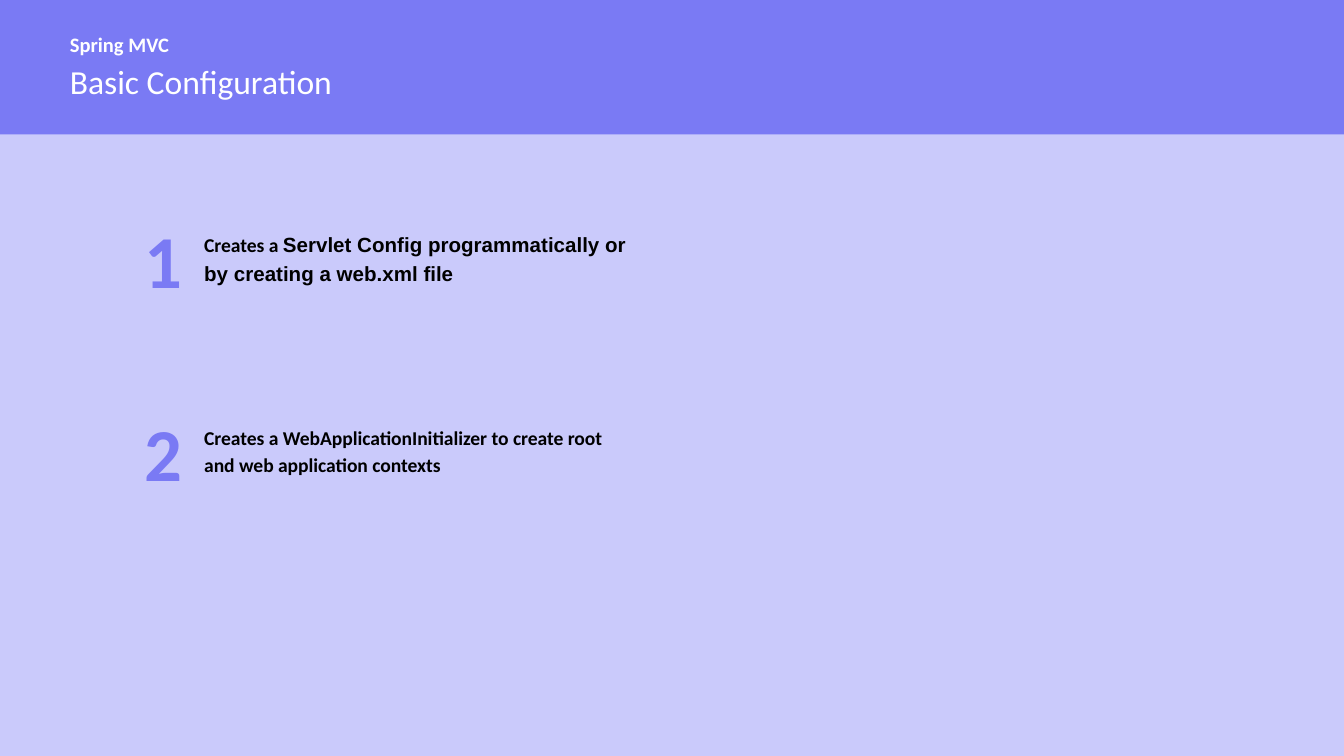
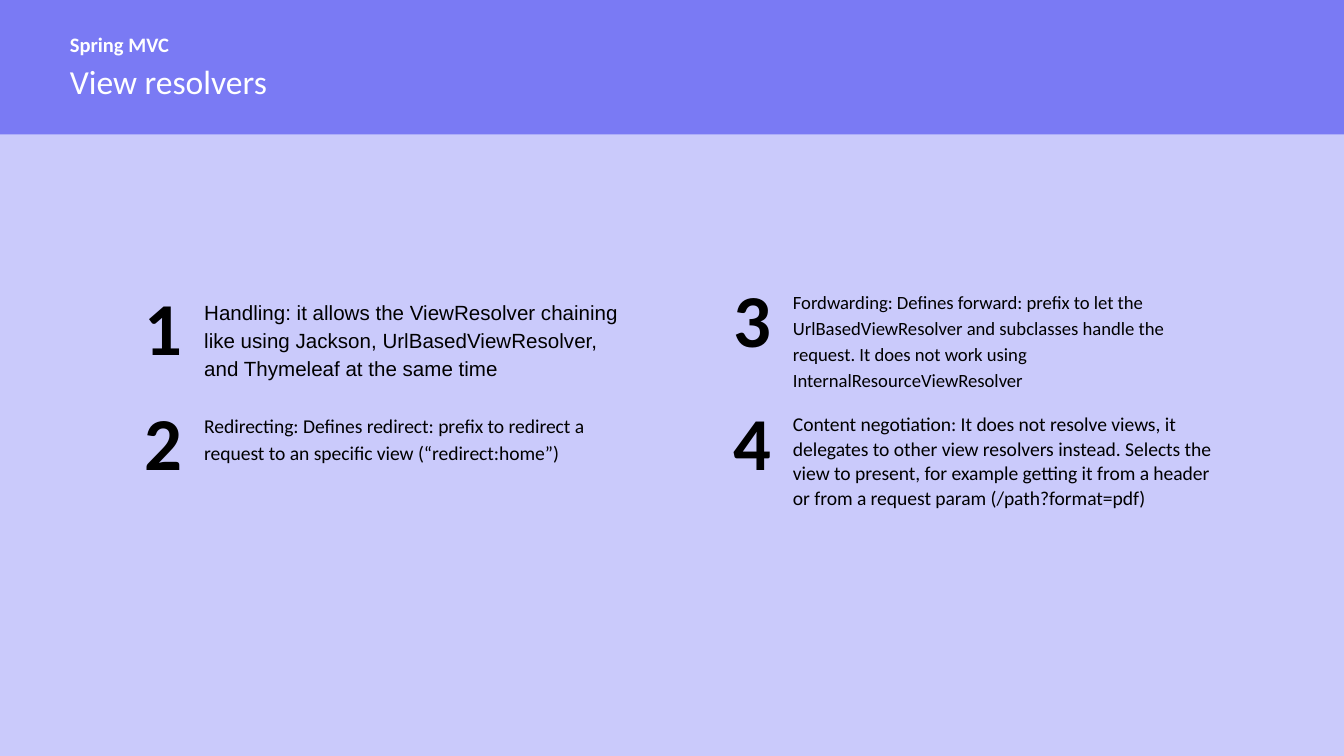
import dataclasses

import pptx
import pptx.dml.color
import pptx.enum.shapes
import pptx.enum.text
import pptx.util

Pt = pptx.util.Pt
RGBColor = pptx.dml.color.RGBColor
Align = pptx.enum.text.PP_ALIGN


@dataclasses.dataclass(frozen=True)
class Theme:
    accent: str = "7A7AF4"
    panel: str = "CACAFB"
    light: str = "FFFFFF"
    dark: str = "000000"
    font: str = "Calibri"
    alternate_font: str = "Arial"
    title_size: float = 18
    kicker_size: float = 11
    number_size: float = 40
    text_size: float = 10.5
    large_size: float = 11
    small_size: float = 10


THEME = Theme()
SLIDE_WIDTH, SLIDE_HEIGHT = 720, 405
BLEED = 10
MARGIN = 37.4
TITLE_ONLY_LAYOUT = 5

NUMBER_WIDTH, NUMBER_HEIGHT = 43.2, 55.4
TEXT_WIDTH, TEXT_HEIGHT = 236.2, 73.4
TEXT_DROP = 15.2
LEFT_COLUMN, RIGHT_COLUMN = 66.2, 381.6


def add_text(paragraph, text, size=THEME.text_size, font=THEME.font,
             color=THEME.dark, bold=False):
    run = paragraph.add_run()
    run.text = text
    run.font.size = Pt(size)
    run.font.name = font
    run.font.bold = bold
    run.font.color.rgb = RGBColor.from_string(color)


def set_frame(frame, left_top=0, right_bottom=0):
    frame.word_wrap = True
    frame.auto_size = pptx.enum.text.MSO_AUTO_SIZE.NONE
    frame.vertical_anchor = pptx.enum.text.MSO_ANCHOR.TOP
    frame.margin_left = frame.margin_top = Pt(left_top)
    frame.margin_right = frame.margin_bottom = Pt(right_bottom)


class Deck:
    def __init__(self, theme):
        self.theme = theme
        self.slide = None
        self.presentation = pptx.Presentation()
        self.presentation.slide_width = Pt(SLIDE_WIDTH)
        self.presentation.slide_height = Pt(SLIDE_HEIGHT)

    def band(self, top, height, color):
        """Add a full-width rectangle that bleeds past both sides."""
        shape = self.slide.shapes.add_shape(
            pptx.enum.shapes.MSO_SHAPE.RECTANGLE,
            Pt(-BLEED), Pt(top), Pt(SLIDE_WIDTH + 2 * BLEED), Pt(height))
        shape.shadow.inherit = False
        shape.fill.solid()
        shape.fill.fore_color.rgb = RGBColor.from_string(color)
        shape.line.fill.background()

    def text_box(self, left, top, width, height, left_top=0, right_bottom=0):
        """Add an empty text box and return its first paragraph."""
        shape = self.slide.shapes.add_textbox(
            Pt(left), Pt(top), Pt(width), Pt(height))
        set_frame(shape.text_frame, left_top, right_bottom)
        return shape.text_frame.paragraphs[0]

    def title(self, text):
        shape = self.slide.shapes.title
        shape.left, shape.top = Pt(MARGIN), Pt(32.4)
        shape.width, shape.height = Pt(322.6), Pt(21.6)
        set_frame(shape.text_frame)
        paragraph = shape.text_frame.paragraphs[0]
        paragraph.alignment = Align.LEFT
        add_text(paragraph, text, size=self.theme.title_size,
                 color=self.theme.light)
        # Bring the title in front of the bands.
        shape.element.getparent().append(shape.element)

    def new_slide(self, title):
        layout = self.presentation.slide_layouts[TITLE_ONLY_LAYOUT]
        self.slide = self.presentation.slides.add_slide(layout)
        self.band(21.6, 412.6, self.theme.panel)
        self.band(-5.8, 77.8, self.theme.accent)
        kicker = self.text_box(MARGIN, 17.3, TEXT_WIDTH, 15.8)
        add_text(kicker, "Spring MVC", size=self.theme.kicker_size,
                 color=self.theme.light, bold=True)
        self.title(title)

    def numbered_item(self, number, left, top, color, line_spacing=1.15):
        """Add a large number and return the paragraph beside it."""
        label = self.text_box(left, top, NUMBER_WIDTH, NUMBER_HEIGHT, 7.2, 7.2)
        label.alignment = Align.CENTER
        add_text(label, str(number), size=self.theme.number_size,
                 color=color, bold=True)
        paragraph = self.text_box(left + NUMBER_WIDTH, top + TEXT_DROP,
                                  TEXT_WIDTH, TEXT_HEIGHT, 0, 7.2)
        paragraph.line_spacing = line_spacing
        paragraph.space_after = Pt(12)
        return paragraph


def build_configuration(deck):
    deck.new_slide("Basic Configuration")
    servlet = deck.numbered_item(1, LEFT_COLUMN, 107.3, THEME.accent)
    add_text(servlet, "Creates a ", bold=True)
    add_text(servlet, "Servlet Config programmatically or by creating a "
             "web.xml file", size=THEME.large_size,
             font=THEME.alternate_font, bold=True)
    initializer = deck.numbered_item(2, LEFT_COLUMN, 211, THEME.accent)
    add_text(initializer, "Creates a WebApplicationInitializer to create root "
             "and web application contexts", bold=True)


def build_view_resolvers(deck):
    deck.new_slide("View resolvers")
    lower_row = 204.8
    resolvers = [
        (LEFT_COLUMN, 143.3, 1.15,
         "Handling: it allows the ViewResolver chaining like using Jackson, "
         "UrlBasedViewResolver, and Thymeleaf at the same time",
         {"size": THEME.large_size, "font": THEME.alternate_font}),
        (LEFT_COLUMN, lower_row, 1.15,
         "Redirecting: Defines redirect: prefix to redirect a request to an "
         "specific view (“redirect:home”)", {}),
        (RIGHT_COLUMN, 139, 1.15,
         "Fordwarding: Defines forward: prefix to let the "
         "UrlBasedViewResolver and subclasses handle the request. It does "
         "not work using InternalResourceViewResolver",
         {"size": THEME.small_size}),
        (RIGHT_COLUMN, lower_row, 1.05,
         "Content negotiation: It does not resolve views, it delegates to "
         "other view resolvers instead. Selects the view to present, for "
         "example getting it from a header or from a request param "
         "(/path?format=pdf)", {}),
    ]
    for number, (left, top, spacing, text, style) in enumerate(resolvers, 1):
        paragraph = deck.numbered_item(number, left, top, THEME.dark, spacing)
        add_text(paragraph, text, **style)


def main():
    deck = Deck(THEME)
    build_configuration(deck)
    build_view_resolvers(deck)
    deck.presentation.save("out.pptx")


if __name__ == "__main__":
    main()
